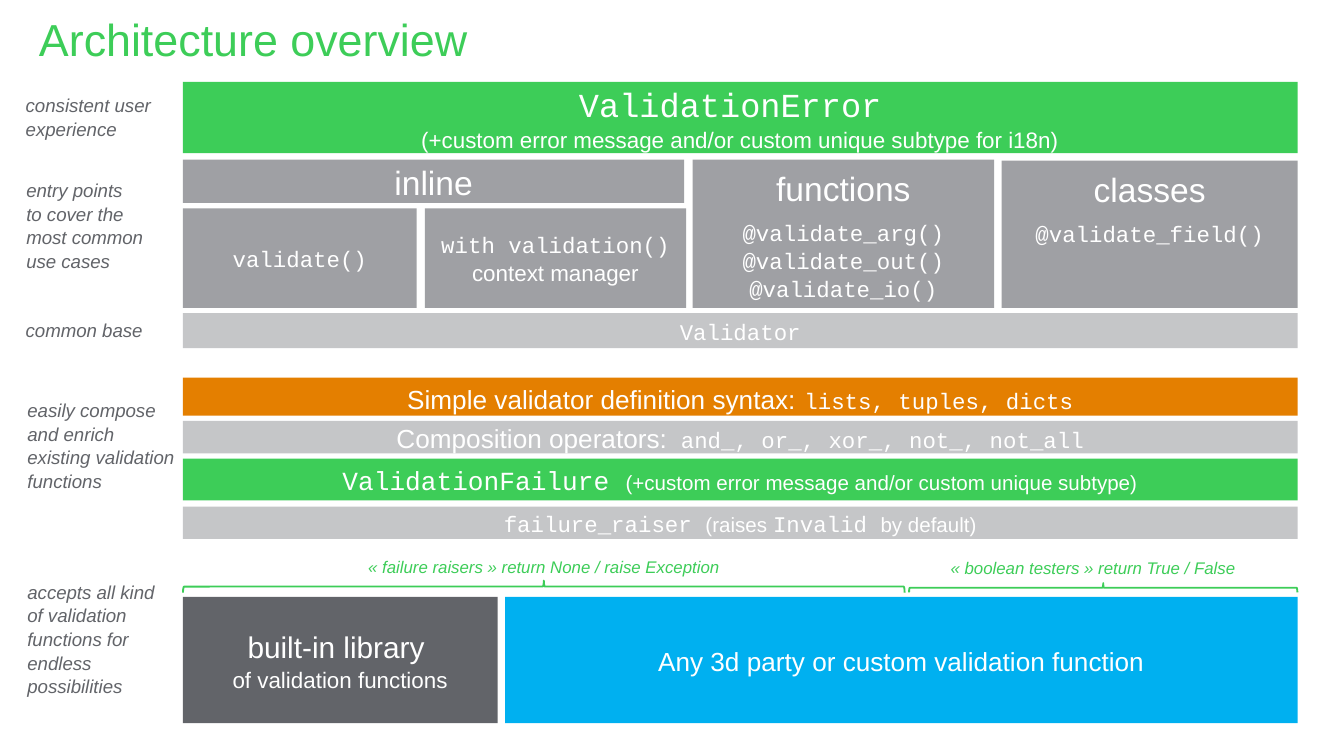
from pptx import Presentation
from pptx.dml.color import RGBColor
from pptx.enum.shapes import MSO_SHAPE
from pptx.enum.text import MSO_ANCHOR, PP_ALIGN
from pptx.util import Pt

COLORS = {
    "green": "3DCD58", "gray": "9FA0A4", "silver": "C5C6C8", "orange": "E47F00",
    "slate": "626469", "blue": "00B0F0", "white": "FFFFFF",
}
SANS, MONO = "Arial", "Courier New"
LEFT, RIGHT = 98, 695.2
WIDTH = RIGHT - LEFT


class ArchitectureSlide:
    """Holds the shared style and the slide being drawn."""

    def __init__(self, deck):
        self.page = deck.slides.add_slide(deck.slide_layouts[6])

    def color(self, name):
        return RGBColor.from_string(COLORS[name])

    def fill_text(self, shape, lines, color, align, anchor, gap=0, italic=False):
        frame = shape.text_frame
        frame.word_wrap = True
        frame.vertical_anchor = anchor
        for index, line in enumerate(lines):
            para = frame.add_paragraph() if index else frame.paragraphs[0]
            para.alignment = align
            para.line_spacing = 1.05
            if index == 1:
                para.space_before = Pt(gap)
            for text, size, name in line:
                span = para.add_run()
                span.text = text
                span.font.size = Pt(size)
                span.font.name = name
                span.font.italic = italic
                span.font.color.rgb = self.color(color)

    def block(self, left, top, width, height, fill, lines,
              anchor=MSO_ANCHOR.MIDDLE, gap=0):
        box = self.page.shapes.add_shape(
            MSO_SHAPE.RECTANGLE, Pt(left), Pt(top), Pt(width), Pt(height))
        box.shadow.inherit = False
        box.fill.solid()
        box.fill.fore_color.rgb = self.color(fill)
        box.line.fill.background()
        self.fill_text(box, lines, "white", PP_ALIGN.CENTER, anchor, gap)

    def label(self, left, top, width, height, lines, color, align=PP_ALIGN.LEFT,
              anchor=MSO_ANCHOR.TOP, italic=True, side=7.2, edge=3.6):
        box = self.page.shapes.add_textbox(Pt(left), Pt(top), Pt(width), Pt(height))
        frame = box.text_frame
        frame.margin_left = frame.margin_right = Pt(side)
        frame.margin_top = frame.margin_bottom = Pt(edge)
        self.fill_text(box, lines, color, align, anchor, italic=italic)

    def caption(self, left, top, width, height, *texts):
        lines = [[(text, 10, SANS)] for text in texts]
        self.label(left, top, width, height, lines, "slate")

    def brace(self, left, top, length, depth):
        shape = self.page.shapes.add_shape(
            MSO_SHAPE.LEFT_BRACE, Pt(left + (length - depth) / 2),
            Pt(top + (depth - length) / 2), Pt(depth), Pt(length))
        shape.rotation = 90
        shape.shadow.inherit = False
        shape.fill.background()
        shape.line.color.rgb = self.color("green")
        shape.line.width = Pt(1)

    def brace_label(self, left, top, width, height, text):
        self.label(left, top, width, height, [[(text, 9, SANS)]], "green",
                   PP_ALIGN.CENTER, MSO_ANCHOR.MIDDLE, side=0)


def main():
    deck = Presentation()
    deck.slide_width, deck.slide_height = Pt(720), Pt(405)
    slide = ArchitectureSlide(deck)

    slide.label(20.9, 5, 680, 29, [[("Architecture overview", 24, SANS)]],
                "green", italic=False, side=0, edge=0)

    bars = [
        (43.9, 38.2, "green", [
            [("ValidationError ", 18, MONO)],
            [("(+custom error message and/or custom unique subtype for i18n)", 12, SANS)]]),
        (167.8, 18.7, "silver", [[("Validator", 12, MONO)]]),
        (202.3, 20.4, "orange", [[
            ("Simple validator definition syntax:", 14, SANS), (" ", 16, SANS),
            ("lists, tuples, dicts", 12, MONO)]]),
        (225.5, 17.4, "silver", [[
            ("Composition operators:", 14, SANS),
            (" and_, or_, xor_, not_, not_all", 12, MONO)]]),
        (245.8, 22.4, "green", [[
            ("ValidationFailure ", 14, MONO),
            ("(+custom error message and/or custom unique subtype)", 11, SANS)]]),
        (271.4, 17.4, "silver", [[
            ("failure_raiser ", 12, MONO), ("(raises ", 11, SANS),
            ("Invalid ", 12, MONO), ("by default)", 11, SANS)]]),
    ]
    for top, height, fill, lines in bars:
        slide.block(LEFT, top, WIDTH, height, fill, lines)

    slide.block(LEFT, 85.5, 268.6, 23.2, "gray", [[("inline", 18, SANS)]])
    slide.block(LEFT, 111.7, 125.3, 53.3, "gray", [[("validate()", 12, MONO)]])
    slide.block(227.6, 111.7, 140, 53.3, "gray", [
        [("with validation()", 12, MONO)], [("context manager", 12, SANS)]])
    decorators = [
        (371, 85.5, 161.6, "functions",
         ["@validate_arg()", "@validate_out()", "@validate_io()"]),
        (536.6, 86, RIGHT - 536.6, "classes", ["@validate_field()"]),
    ]
    for left, top, width, heading, names in decorators:
        lines = [[(heading, 18, SANS)]] + [[(name, 12, MONO)] for name in names]
        slide.block(left, top, width, 165 - top, "gray", lines, MSO_ANCHOR.TOP, 5)

    slide.block(LEFT, 319.8, 168.6, 67.6, "slate", [
        [("built-in library ", 16, SANS)], [("of validation functions", 12, SANS)]])
    slide.block(270.6, 319.8, RIGHT - 270.6, 67.6, "blue", [
        [("Any 3d party or custom validation function", 14, SANS)]])

    slide.brace_label(LEFT, 294.8, 386.6, 17,
                      "« failure raisers » return None / raise Exception")
    slide.brace(LEFT, 311, 386.6, 6.5)
    slide.brace_label(487, 296.6, 197, 14.4,
                      "« boolean testers » return True / False")
    slide.brace(487, 312.4, 208, 5)

    slide.caption(6.7, 46.2, 87, 31.5, "consistent user experience")
    slide.caption(7, 91.8, 78.5, 55.5, "entry points", "to cover the most common use cases")
    slide.caption(6.7, 166.6, 85, 19.3, "common base")
    slide.caption(7.6, 209.6, 96, 55.5,
                  "easily compose and enrich existing validation functions")
    slide.caption(7.6, 307, 84.2, 67.5,
                  "accepts all kind of validation functions for endless possibilities")

    deck.save("out.pptx")


if __name__ == "__main__":
    main()
